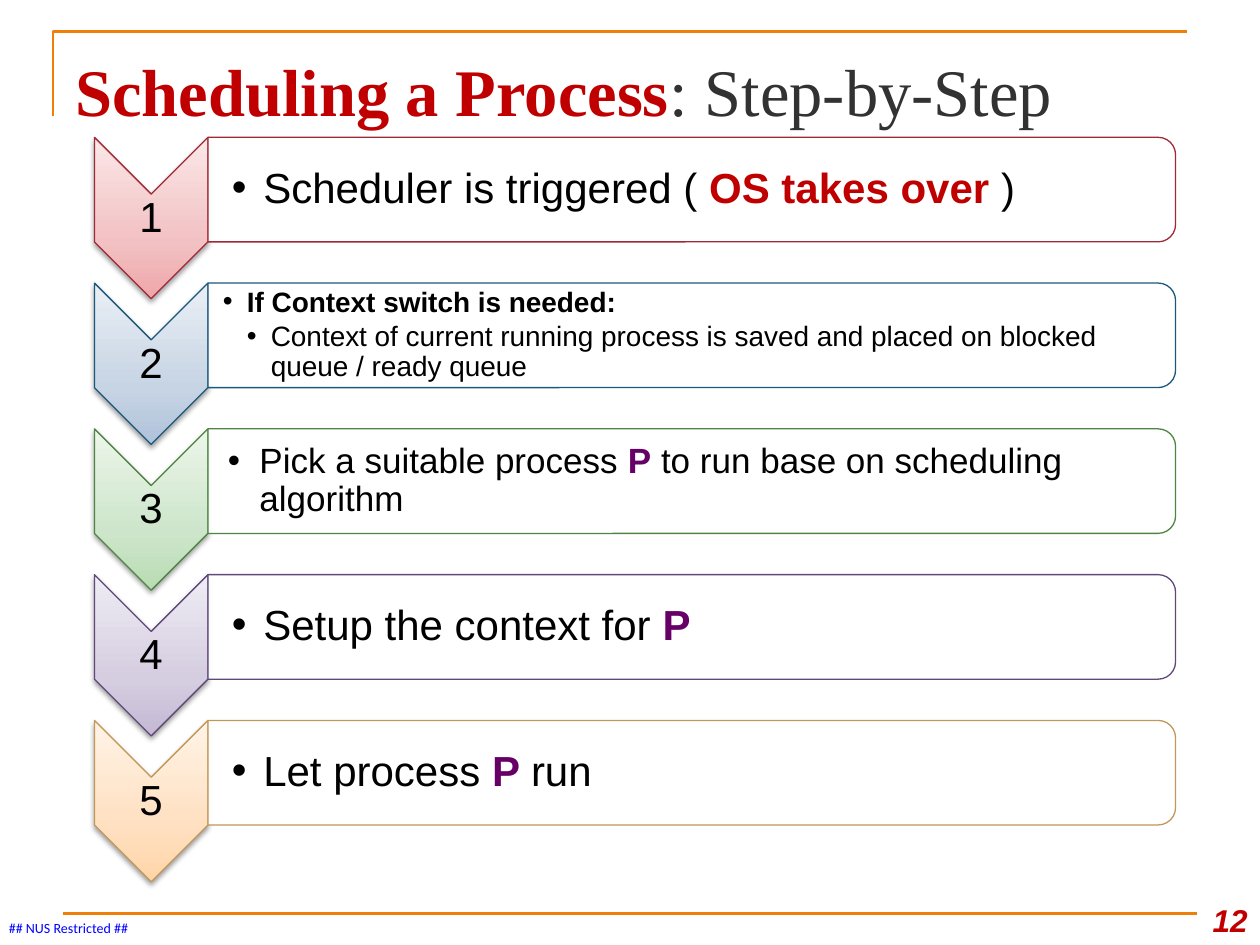
from dataclasses import dataclass
from typing import NamedTuple

from lxml.etree import SubElement
from pptx import Presentation
from pptx.dml.color import RGBColor
from pptx.enum.shapes import MSO_CONNECTOR, MSO_SHAPE
from pptx.enum.text import MSO_ANCHOR, PP_ALIGN
from pptx.oxml import parse_xml
from pptx.oxml.ns import nsdecls, qn
from pptx.util import Inches, Pt

BLACK = RGBColor(0x00, 0x00, 0x00)
WHITE = RGBColor(0xFF, 0xFF, 0xFF)
RED = RGBColor(0xC0, 0x00, 0x00)
PURPLE = RGBColor(0x66, 0x00, 0x66)
GREY = RGBColor(0x32, 0x32, 0x32)
BLUE = RGBColor(0x00, 0x00, 0xFF)
ORANGE = RGBColor(0xF0, 0x7F, 0x09)

FIRST_TOP = 1.09
STEP_PITCH = 1.157
BODY_LEFT, BODY_WIDTH, BODY_HEIGHT = 1.65, 7.68, 0.83
CHEVRON_CENTER, CHEVRON_LENGTH, CHEVRON_BREADTH = 1.2, 1.28, 0.9


class Run(NamedTuple):
    text: str
    color: RGBColor = BLACK
    bold: bool = False


class Bullet(NamedTuple):
    runs: list[Run]
    indent: float = 0.25
    hanging: float = 0.25
    level: int = 1


@dataclass
class Step:
    line: RGBColor
    gradient: tuple[str, str, str]
    bullets: list[Bullet]
    size: int = 24
    left_inset: float = 0.19


STEPS = [
    Step(RGBColor(0x9F, 0x29, 0x36), ("EEA6A9", "F2C1C3", "FBE7E7"),
         [Bullet([Run("Scheduler is triggered ( "), Run("OS takes over ", RED, True), Run(")")])]),
    Step(RGBColor(0x1B, 0x58, 0x7C), ("AFC2DA", "C7D4E4", "EAEFF5"),
         [Bullet([Run("If Context switch is needed:", bold=True)], 0.19, 0.19),
          Bullet([Run("Context of current running process is saved and placed on "
                      "blocked queue / ready queue")], 0.38, 0.19, 2)],
         size=16, left_inset=0.12),
    Step(RGBColor(0x4E, 0x85, 0x42), ("B8DCB3", "CDE5CA", "ECF6EA"),
         [Bullet([Run("Pick a suitable process "), Run("P", PURPLE, True),
                  Run(" to run base on scheduling algorithm")])],
         size=20, left_inset=0.16),
    Step(RGBColor(0x60, 0x48, 0x78), ("C4B8D4", "D5CDE0", "EFECF4"),
         [Bullet([Run("Setup the context for "), Run("P", PURPLE, True)])]),
    Step(RGBColor(0xC1, 0x98, 0x59), ("FFD5A8", "FFE0C1", "FFF3E7"),
         [Bullet([Run("Let process "), Run("P ", PURPLE, True), Run("run")])]),
]


def add_box(slide, left, top, width, height, *, anchor=MSO_ANCHOR.MIDDLE,
            insets=(0.02, 0.02, 0.02, 0.02), wrap=True):
    """Add an empty text box and return its text frame."""
    box = slide.shapes.add_textbox(Inches(left), Inches(top), Inches(width), Inches(height))
    frame = box.text_frame
    frame.word_wrap = wrap
    frame.vertical_anchor = anchor
    (frame.margin_left, frame.margin_top,
     frame.margin_right, frame.margin_bottom) = map(Inches, insets)
    return frame


def write_runs(paragraph, runs: list[Run], *, size, font="Arial", italic=False,
               align=PP_ALIGN.LEFT) -> None:
    paragraph.alignment = align
    for item in runs:
        run = paragraph.add_run()
        run.text = item.text
        run.font.name = font
        run.font.size = Pt(size)
        run.font.bold = item.bold
        run.font.italic = italic
        run.font.color.rgb = item.color


def add_turned_shape(slide, preset, center_x, center_y, length, breadth, line: RGBColor):
    """Add a preset shape rotated a quarter turn about its center."""
    shape = slide.shapes.add_shape(preset, Inches(center_x - length / 2),
                                   Inches(center_y - breadth / 2),
                                   Inches(length), Inches(breadth))
    shape.rotation = 90
    shape.shadow.inherit = False
    shape.line.color.rgb = line
    shape.line.width = Pt(0.75)
    return shape


def shade_chevron(shape, colors: tuple[str, str, str]) -> None:
    """Give the shape a three-stop gradient, dark at the tip, and a soft shadow."""
    stops = "".join(f'<a:gs pos="{position}"><a:srgbClr val="{color}"/></a:gs>'
                    for position, color in zip((0, 35000, 100000), colors))
    properties = shape.element.spPr
    properties.find(qn("a:prstGeom")).addnext(parse_xml(
        f'<a:gradFill {nsdecls("a")} rotWithShape="1"><a:gsLst>{stops}</a:gsLst>'
        '<a:lin ang="10800000" scaled="0"/></a:gradFill>'))
    properties.find(qn("a:effectLst")).append(parse_xml(
        f'<a:outerShdw {nsdecls("a")} blurRad="{Pt(3.1)}" dist="{Pt(1.6)}" dir="5400000" '
        'rotWithShape="0"><a:srgbClr val="000000"><a:alpha val="38000"/></a:srgbClr>'
        '</a:outerShdw>'))


def write_bullet(paragraph, bullet: Bullet, size: int) -> None:
    properties = paragraph._p.get_or_add_pPr()
    properties.set("marL", str(Inches(bullet.indent)))
    properties.set("indent", str(-Inches(bullet.hanging)))
    SubElement(properties, qn("a:buFont"), typeface="Arial")
    SubElement(properties, qn("a:buChar"), char="•")
    paragraph.level = bullet.level
    paragraph.line_spacing = 0.9
    paragraph.space_after = Pt(size * 0.15)
    write_runs(paragraph, bullet.runs, size=size)


def add_step(slide, number: int, step: Step) -> None:
    top = FIRST_TOP + (number - 1) * STEP_PITCH
    chevron = add_turned_shape(slide, MSO_SHAPE.CHEVRON, CHEVRON_CENTER,
                               top + CHEVRON_LENGTH / 2, CHEVRON_LENGTH,
                               CHEVRON_BREADTH, step.line)
    shade_chevron(chevron, step.gradient)

    label = add_box(slide, 0.75, top + 0.45, CHEVRON_BREADTH, 0.39).paragraphs[0]
    label.line_spacing = 0.9
    write_runs(label, [Run(str(number))], size=24, align=PP_ALIGN.CENTER)

    body = add_turned_shape(slide, MSO_SHAPE.ROUND_2_SAME_RECTANGLE,
                            BODY_LEFT + BODY_WIDTH / 2, top + BODY_HEIGHT / 2,
                            BODY_HEIGHT, BODY_WIDTH, step.line)
    body.fill.solid()
    body.fill.fore_color.rgb = WHITE
    SubElement(body.element.spPr.find(qn("a:solidFill"))[0], qn("a:alpha"), val="90000")

    frame = add_box(slide, BODY_LEFT, top + 0.04, 7.64, 0.75,
                    insets=(step.left_inset, 0.01, 0.01, 0.01))
    for index, bullet in enumerate(step.bullets):
        paragraph = frame.add_paragraph() if index else frame.paragraphs[0]
        write_bullet(paragraph, bullet, step.size)


def add_frame_lines(slide) -> None:
    builder = slide.shapes.build_freeform(Inches(0.42), Inches(0.92))
    builder.add_line_segments([(Inches(0.42), Inches(0.25)), (Inches(9.42), Inches(0.25))],
                              close=False)
    corner = builder.convert_to_shape()
    corner.fill.background()
    corner.shadow.inherit = False
    rule = slide.shapes.add_connector(MSO_CONNECTOR.STRAIGHT, Inches(0.5), Inches(7.25),
                                      Inches(9.5), Inches(7.25))
    for shape in (corner, rule):
        shape.line.color.rgb = ORANGE
        shape.line.width = Pt(1.5)
    SubElement(rule.element.spPr, qn("a:effectLst"))


def main() -> None:
    presentation = Presentation()
    presentation.slide_width = Inches(10)
    presentation.slide_height = Inches(7.5)
    slide = presentation.slides.add_slide(presentation.slide_layouts[6])

    add_frame_lines(slide)
    marking = add_box(slide, 0.07, 7.3, 0.97, 0.13, anchor=MSO_ANCHOR.TOP,
                      insets=(0, 0, 0, 0), wrap=False)
    write_runs(marking.paragraphs[0], [Run("## NUS Restricted ##", BLUE)],
               size=8, font="Calibri")
    page_number = add_box(slide, 9.42, 7, 0.58, 0.5, anchor=MSO_ANCHOR.BOTTOM,
                          insets=(0.1, 0.05, 0.1, 0.05))
    write_runs(page_number.paragraphs[0], [Run("12", RED, True)], size=18, italic=True,
               align=PP_ALIGN.RIGHT)
    title = add_box(slide, 0.5, 0.3, 9, 0.78, anchor=MSO_ANCHOR.BOTTOM,
                    insets=(0.1, 0.05, 0.1, 0.05))
    write_runs(title.paragraphs[0],
               [Run("Scheduling a Process", RED, True), Run(": Step-by-Step", GREY)],
               size=38, font="Times New Roman")

    for number, step in enumerate(STEPS, start=1):
        add_step(slide, number, step)
    presentation.save("out.pptx")


if __name__ == "__main__":
    main()
